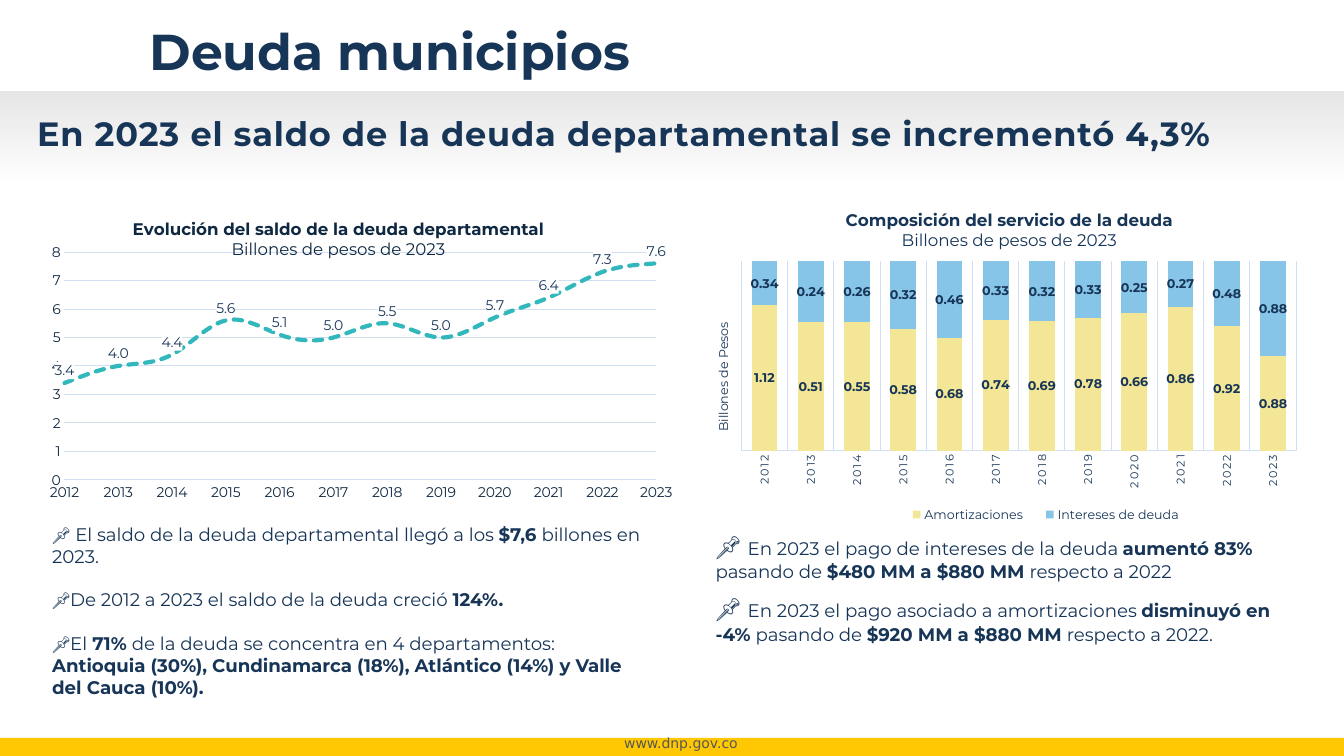
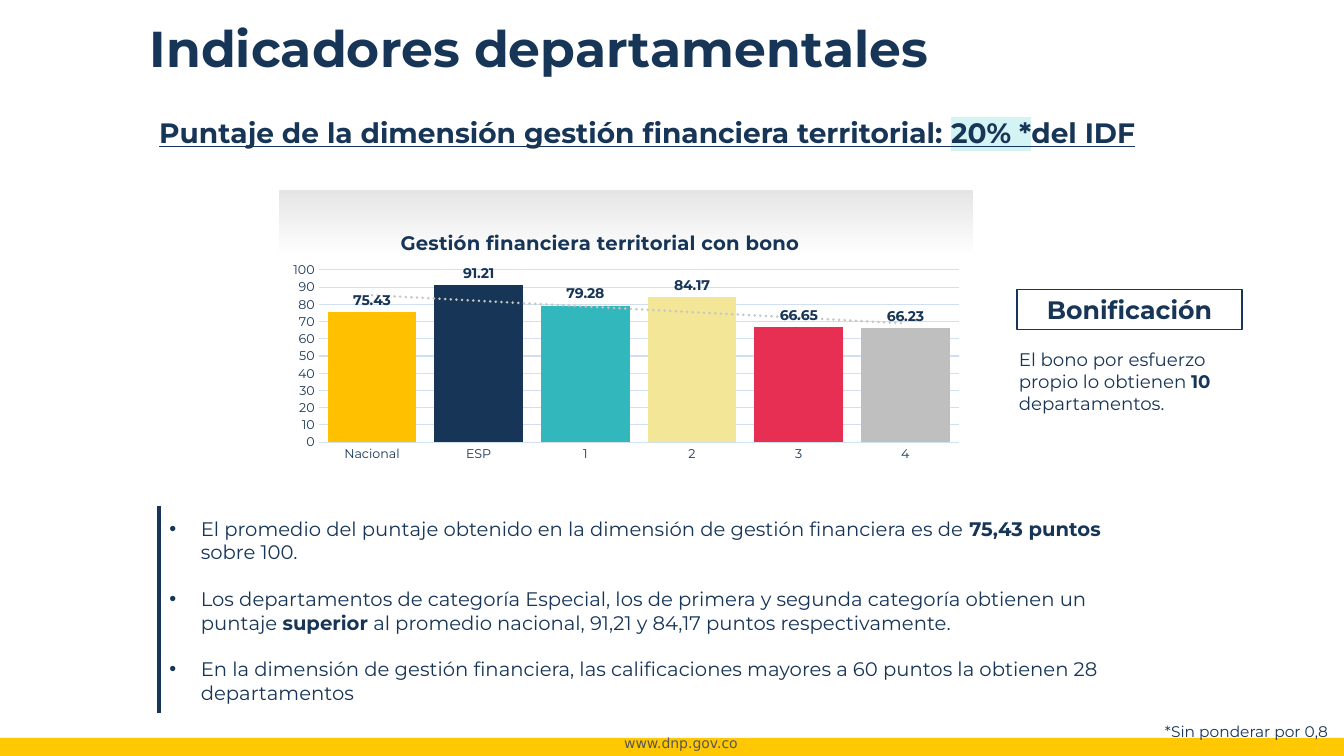
from dataclasses import dataclass
from typing import NamedTuple

from pptx import Presentation
from pptx.chart.data import CategoryChartData, XyChartData
from pptx.chart.datalabel import DataLabels
from pptx.dml.color import RGBColor
from pptx.enum.chart import XL_CHART_TYPE, XL_LABEL_POSITION, XL_LEGEND_POSITION, XL_TICK_MARK
from pptx.enum.dml import MSO_LINE
from pptx.enum.shapes import MSO_CONNECTOR, MSO_SHAPE
from pptx.enum.text import MSO_ANCHOR, MSO_AUTO_SIZE, PP_ALIGN
from pptx.oxml import parse_xml
from pptx.oxml.ns import nsdecls, qn
from pptx.util import Pt

LEFT, CENTER, JUSTIFY = PP_ALIGN.LEFT, PP_ALIGN.CENTER, PP_ALIGN.JUSTIFY
TOP, MIDDLE = MSO_ANCHOR.TOP, MSO_ANCHOR.MIDDLE
RECTANGLE, STRAIGHT = MSO_SHAPE.RECTANGLE, MSO_CONNECTOR.STRAIGHT
SMOOTH_LINE = XL_CHART_TYPE.XY_SCATTER_SMOOTH_NO_MARKERS
STACKED, CLUSTERED = XL_CHART_TYPE.COLUMN_STACKED_100, XL_CHART_TYPE.COLUMN_CLUSTERED
ABOVE, INSIDE, OUTSIDE = XL_LABEL_POSITION.ABOVE, XL_LABEL_POSITION.CENTER, XL_LABEL_POSITION.OUTSIDE_END
NO_TICK, LEGEND_BOTTOM = XL_TICK_MARK.NONE, XL_LEGEND_POSITION.BOTTOM
SHORT_DASH = MSO_LINE.SQUARE_DOT


@dataclass(frozen=True)
class Theme:
    font: str = "Montserrat"
    footer_font: str = "DejaVu Sans"
    navy: str = "173557"
    ink: str = "0E2841"
    grey: str = "575756"
    shade: str = "4D4D4D"
    white: str = "FFFFFF"
    yellow: str = "FFC802"
    teal: str = "31B7BC"
    sand: str = "F3E697"
    sky: str = "87C5E8"
    grid: str = "D0E0F2"
    trend: str = "C6C6C6"
    mark: str = "D4F3F4"
    scores: tuple = ("FFC000", "173557", "31B7BC", "F3E697", "E72F54", "BFBFBF")
    title: float = 36
    heading: float = 24
    subheading: float = 20
    callout: float = 18
    finding: float = 14
    body: float = 13
    chart_title: float = 12
    footnote: float = 11
    label: float = 10
    small: float = 9
    tiny: float = 8


class Box(NamedTuple):
    left: float
    top: float
    width: float
    height: float

    def inner(self, left, top, width, height):
        return Box(self.left + left, self.top + top, width, height)

    def lengths(self):
        return [Pt(value) for value in self]


THEME = Theme()
YEARS = range(2012, 2024)
PIN = "📌"
NO_PAINT = f"<c:spPr {nsdecls('c', 'a')}><a:noFill/><a:ln><a:noFill/></a:ln></c:spPr>"


def rgb(color):
    return RGBColor.from_string(color)


# ---- Text ----
def style_font(font, size, color=THEME.navy, bold=False, name=THEME.font):
    font.size, font.bold, font.name = Pt(size), bold, name
    font.color.rgb = rgb(color)


def add_span(para, text, size, **style):
    span = para.add_run()
    span.text = text
    style_font(span.font, size, **style)
    return span


def add_marked(para, text, size):
    """Text between double asterisks is bold."""
    for index, piece in enumerate(text.split("**")):
        if piece:
            add_span(para, piece, size, bold=index % 2 == 1)


def set_frame(shape, anchor=TOP, align=LEFT):
    frame = shape.text_frame
    frame.word_wrap, frame.auto_size = True, MSO_AUTO_SIZE.NONE
    frame.vertical_anchor = anchor
    frame.paragraphs[0].alignment = align
    return frame


def add_text(page, box, anchor=TOP, align=LEFT):
    return set_frame(page.shapes.add_textbox(*box.lengths()), anchor, align)


def next_para(frame, index):
    return frame.add_paragraph() if index else frame.paragraphs[0]


# ---- Shapes ----
def add_rectangle(page, box, color, outline=None):
    shape = page.shapes.add_shape(RECTANGLE, *box.lengths())
    shape.shadow.inherit = False
    shape.fill.solid()
    shape.fill.fore_color.rgb = rgb(color)
    if outline:
        shape.line.color.rgb, shape.line.width = rgb(outline), Pt(1)
    else:
        shape.line.fill.background()
    return shape


def add_fading_band(page, box):
    band = add_rectangle(page, box, THEME.shade)
    band.fill.gradient()
    band.fill.gradient_angle = 270
    for stop, position in zip(band.fill.gradient_stops, (0, 1)):
        stop.color.rgb, stop.position = rgb(THEME.shade), position
    for color, alpha in zip(band.element.xpath(".//a:gs/a:srgbClr"), (15000, 0)):
        color.append(parse_xml(f'<a:alpha {nsdecls("a")} val="{alpha}"/>'))


# ---- Shared page parts ----
def add_master_footer(deck, page):
    bar = add_rectangle(page, Box(0, 527, 960, 13), THEME.yellow)
    address = page.shapes.add_textbox(*Box(410.4, 521.3, 152, 19).lengths())
    para = set_frame(address, align=CENTER).paragraphs[0]
    add_span(para, "www.dnp.gov.co", THEME.label, color=THEME.grey, name=THEME.footer_font)
    tree = deck.slide_master.element.xpath("p:cSld/p:spTree")[0]
    for number, shape in enumerate((bar, address), 101):
        shape.element.xpath(".//p:cNvPr")[0].set("id", str(number))
        tree.append(shape.element)


def add_page(deck, title, top):
    page = deck.slides.add_slide(deck.slide_layouts[5])
    holder = page.shapes.title
    holder.left, holder.top, holder.width, holder.height = Box(99.6, top, 719, 48).lengths()
    para = set_frame(holder, MIDDLE).paragraphs[0]
    add_span(para, title, THEME.title, bold=True)
    return page


# ---- Charts ----
def place_part(part, left, top, width=None, height=None, index=0, inner=False):
    """Set a manual layout, in fractions of the chart."""
    layout = part.find(qn("c:layout"))
    if layout is None:
        layout = parse_xml(f"<c:layout {nsdecls('c')}/>")
        part.insert(index, layout)
    settings = [("layoutTarget", "inner")] if inner else []
    settings += [("xMode", "edge"), ("yMode", "edge"), ("x", left), ("y", top)]
    settings += [("w", width), ("h", height)] if width else []
    rows = "".join(f'<c:{tag} val="{value}"/>' for tag, value in settings)
    layout.append(parse_xml(f"<c:manualLayout {nsdecls('c')}>{rows}</c:manualLayout>"))


def add_chart(page, box, kind, data, plot_box, titles, title_size, color=THEME.navy):
    chart = page.shapes.add_chart(kind, *box.lengths(), data).chart
    style_font(chart.font, THEME.label, color)
    chart.has_legend = False
    chart.plots[0].vary_by_categories = False
    frame = chart.chart_title.text_frame
    for index, line in enumerate(titles):
        add_span(next_para(frame, index), line, title_size, color=color, bold=index == 0)
    chart.chart_title.include_in_layout = False
    plot_area = chart.element.xpath(".//c:plotArea")[0]
    place_part(plot_area, *plot_box, inner=True)
    plot_area.append(parse_xml(NO_PAINT))
    chart.element.find(qn("c:chart")).addnext(parse_xml(NO_PAINT))
    return chart


def style_axis(axis, size, color=THEME.navy, grid=False, line=True):
    axis.major_tick_mark = axis.minor_tick_mark = NO_TICK
    style_font(axis.tick_labels.font, size, color)
    axis.has_major_gridlines = grid
    lines = [axis.format.line] if line else []
    if not line:
        axis.format.line.fill.background()
    if grid:
        lines.append(axis.major_gridlines.format.line)
    for rule in lines:
        rule.color.rgb, rule.width = rgb(THEME.grid), Pt(0.75)


def set_scale(axis, low, high, step, number_format="0"):
    axis.minimum_scale, axis.maximum_scale, axis.major_unit = low, high, step
    axis.tick_labels.number_format = number_format
    axis.tick_labels.number_format_is_linked = False


def add_labels(chart, number_format, position, size, bold=True):
    for series in chart.element.xpath(".//c:ser"):
        labels = DataLabels(series.get_or_add_dLbls())
        labels.show_value, labels.position = True, position
        labels.number_format, labels.number_format_is_linked = number_format, False
        style_font(labels.font, size, bold=bold)


# ---- Regions of the debt page ----
def balance_column(page, box):
    data = XyChartData()
    points = data.add_series("Saldo")
    for year, value in zip(YEARS, (3.4, 4, 4.4, 5.6, 5.1, 5, 5.5, 5, 5.7, 6.4, 7.3, 7.6)):
        points.add_data_point(year, value)
    chart = add_chart(page, box.inner(0, 0, box.width, 218), SMOOTH_LINE, data,
                      (0.084, 0.159, 0.898, 0.747),
                      ("Evolución del saldo de la deuda departamental", "Billones de pesos de 2023"),
                      THEME.chart_title, THEME.ink)
    style_axis(chart.category_axis, THEME.label, THEME.ink)
    set_scale(chart.category_axis, 2012, 2023, 1)
    style_axis(chart.value_axis, THEME.label, THEME.ink, grid=True, line=False)
    set_scale(chart.value_axis, 0, 8, 1, "#,##0")
    line = chart.plots[0].series[0].format.line
    line.color.rgb, line.width, line.dash_style = rgb(THEME.teal), Pt(3), SHORT_DASH
    add_labels(chart, "#,##0.0", ABOVE, THEME.label, bold=False)
    series = chart.element.xpath(".//c:ser")[0]
    series.xpath("c:smooth")[0].set("val", "1")
    series.xpath("c:spPr/a:ln")[0].set("cap", "rnd")
    series.xpath("c:dLbls/c:numFmt")[0].addnext(parse_xml(
        f'<c:spPr {nsdecls("c", "a")}><a:solidFill><a:srgbClr val="{THEME.white}"/></a:solidFill></c:spPr>'))
    # Notes under the line chart
    notes = (
        (f"**{PIN} **El saldo de la deuda departamental llegó a los **$7,6 **billones en 2023.", JUSTIFY),
        (f"**{PIN}**De 2012 a 2023 el saldo de la deuda creció** 124%.**", JUSTIFY),
        (f"{PIN}El** 71% **de la deuda se concentra en 4 departamentos: "
         "**Antioquia (30%), Cundinamarca (18%), Atlántico (14%) y Valle del Cauca (10%).**", LEFT),
    )
    frame = add_text(page, box.inner(23.7, 224.7, 434, 149))
    for index, (note, align) in enumerate(notes):
        para = next_para(frame, index)
        para.alignment, para.space_after = align, Pt(15.5)
        add_marked(para, note, THEME.body)


def service_column(page, box):
    data = CategoryChartData()
    data.categories = [str(year) for year in YEARS]
    data.add_series("Amortizaciones",
                    (1.12, 0.51, 0.55, 0.58, 0.68, 0.74, 0.69, 0.78, 0.66, 0.86, 0.92, 0.88))
    data.add_series("Intereses de deuda",
                    (0.34, 0.24, 0.26, 0.32, 0.46, 0.33, 0.32, 0.33, 0.25, 0.27, 0.48, 0.88))
    chart = add_chart(page, box.inner(0, 0, box.width, 244), STACKED, data,
                      (0.059, 0.199, 0.913, 0.554),
                      ("Composición del servicio de la deuda", "Billones de pesos de 2023"),
                      THEME.chart_title)
    plot = chart.plots[0]
    plot.gap_width, plot.overlap = 79, 100
    for series, color in zip(plot.series, (THEME.sand, THEME.sky)):
        series.format.fill.solid()
        series.format.fill.fore_color.rgb = rgb(color)
    add_labels(chart, "0.00", INSIDE, THEME.small)
    style_axis(chart.category_axis, THEME.tiny, grid=True)
    year_text = chart.element.xpath(".//c:catAx/c:txPr")[0]
    year_text.xpath("a:bodyPr")[0].set("rot", "-5400000")
    year_text.xpath(".//a:defRPr")[0].set("spc", "120")
    axis = chart.value_axis
    axis.has_major_gridlines, axis.visible = False, False
    para = axis.axis_title.text_frame.paragraphs[0]
    add_span(para, "Billones de Pesos", THEME.small)
    axis_title = chart.element.xpath(".//c:valAx/c:title")[0]
    axis_title.xpath(".//a:bodyPr")[0].set("rot", "-5400000")
    place_part(axis_title, 0.01, 0.37, index=1)
    chart.has_legend = True
    chart.legend.position, chart.legend.include_in_layout = LEGEND_BOTTOM, False
    style_font(chart.legend.font, THEME.small)
    place_part(chart.element.xpath(".//c:legend")[0], 0.31, 0.9, 0.5, 0.08, index=1)
    # Notes under the column chart
    notes = (
        "En 2023 el pago de intereses de la deuda **aumentó 83% **pasando de "
        "**$480 MM a $880 MM **respecto a 2022",
        "En 2023 el pago asociado a amortizaciones **disminuyó en -4% **pasando de "
        "**$920 MM a $880 MM **respecto a 2022.",
    )
    for index, note in enumerate(notes):
        frame = add_text(page, box.inner(0, 237 + 44.6 * index, 418.3, 44.6))
        add_span(frame.paragraphs[0], f"{PIN} ", THEME.callout, bold=True)
        add_marked(frame.paragraphs[0], note, THEME.body)


# ---- Regions of the indicators page ----
def score_chart(page, box):
    add_fading_band(page, box.inner(0, 0, box.width, 46))
    data = CategoryChartData()
    data.categories = ("Nacional", "ESP", "1", "2", "3", "4")
    data.add_series("Puntaje", (75.43, 91.21, 79.28, 84.17, 66.65, 66.23))
    chart = add_chart(page, box.inner(0, 14.4, box.width, 183), CLUSTERED, data,
                      (0.057, 0.232, 0.923, 0.672),
                      ("Gestión financiera territorial con bono",), THEME.finding)
    place_part(chart.element.xpath("c:chart/c:title")[0], 0.17, 0.06, index=1)
    plot = chart.plots[0]
    plot.gap_width, plot.overlap = 20, -27
    for index, color in enumerate(THEME.scores):
        fill = plot.series[0].points[index].format.fill
        fill.solid()
        fill.fore_color.rgb = rgb(color)
    style_axis(chart.category_axis, THEME.small)
    style_axis(chart.value_axis, THEME.small, grid=True, line=False)
    set_scale(chart.value_axis, 0, 100, 10)
    add_labels(chart, "0.00", OUTSIDE, THEME.label)
    chart.element.xpath(".//c:ser/c:cat")[0].addprevious(parse_xml(
        f'<c:trendline {nsdecls("c", "a")}><c:spPr><a:ln w="25400" cap="rnd"><a:solidFill>'
        f'<a:srgbClr val="{THEME.trend}"/></a:solidFill><a:prstDash val="sysDot"/></a:ln></c:spPr>'
        '<c:trendlineType val="linear"/><c:dispRSqr val="0"/><c:dispEq val="0"/></c:trendline>'))


def bonus_box(page, box):
    label = add_rectangle(page, box.inner(5.8, 0, 160.6, 29), THEME.white, THEME.navy)
    para = set_frame(label, MIDDLE, CENTER).paragraphs[0]
    add_span(para, "Bonificación", THEME.callout, bold=True)
    frame = add_text(page, box.inner(0, 39, box.width, 55))
    add_marked(frame.paragraphs[0],
               "El bono por esfuerzo propio lo obtienen **10** departamentos.", THEME.body)


def findings_list(page, box):
    bar = page.shapes.add_connector(STRAIGHT, Pt(box.left), Pt(box.top),
                                    Pt(box.left), Pt(box.top + box.height))
    bar.line.color.rgb, bar.line.width = rgb(THEME.navy), Pt(3)
    bar.element.spPr.append(parse_xml(f"<a:effectLst {nsdecls('a')}/>"))
    findings = (
        "El promedio del puntaje obtenido en la dimensión de gestión financiera es de "
        "**75,43 puntos **sobre 100.",
        "Los departamentos de categoría Especial, los de primera y segunda categoría obtienen un "
        "puntaje **superior** al promedio nacional, 91,21 y 84,17 puntos respectivamente.",
        "En la dimensión de gestión financiera, las calificaciones mayores a 60 puntos la obtienen "
        "28 departamentos",
    )
    frame = add_text(page, box.inner(0, 4.2, box.width, box.height - 4.2))
    for index, finding in enumerate(findings):
        para = next_para(frame, index)
        para.space_after = Pt(16.5)
        add_marked(para, finding, THEME.finding)
    for settings in frame._txBody.xpath("a:p/a:pPr"):
        settings.set("marL", str(Pt(22.5)))
        settings.set("indent", str(Pt(-22.5)))
        settings.append(parse_xml(f'<a:buFont {nsdecls("a")} typeface="Arial"/>'))
        settings.append(parse_xml(f'<a:buChar {nsdecls("a")} char="•"/>'))


# ---- Pages ----
def debt_page(deck):
    page = add_page(deck, "Deuda municipios", 12)
    add_master_footer(deck, page)
    add_fading_band(page, Box(0, 65.5, 960, 64))
    heading = page.shapes.add_textbox(*Box(19.4, 76.3, 940, 37.4).lengths())
    para = set_frame(heading, MIDDLE).paragraphs[0]
    add_span(para, "En 2023 el saldo de la deuda departamental se incrementó 4,3%",
             THEME.heading, bold=True)
    heading.element.xpath(".//a:rPr")[0].set("spc", "60")
    balance_column(page, Box(6.5, 145.4, 473.8, 374))
    service_column(page, Box(504, 138.2, 434, 330))


def indicators_page(deck):
    page = add_page(deck, "Indicadores departamentales", 10)
    heading = page.shapes.add_textbox(*Box(106.6, 79.2, 795, 32).lengths())
    para = set_frame(heading).paragraphs[0]
    for text in ("Puntaje de la dimensión gestión financiera territorial: ", "20% *", "del IDF"):
        add_span(para, text, THEME.subheading, bold=True).font.underline = True
    heading.element.xpath(".//a:rPr")[1].find(qn("a:solidFill")).addnext(parse_xml(
        f'<a:highlight {nsdecls("a")}><a:srgbClr val="{THEME.mark}"/></a:highlight>'))
    score_chart(page, Box(199.4, 136, 495.4, 198))
    bonus_box(page, Box(720.7, 206.6, 170, 94))
    findings_list(page, Box(113.8, 361.4, 713.5, 148))
    footnote = add_text(page, Box(821, 512, 139, 21), align=CENTER)
    add_span(footnote.paragraphs[0], "*Sin ponderar por 0,8", THEME.footnote)


def main():
    deck = Presentation()
    deck.slide_width, deck.slide_height = Pt(960), Pt(540)
    debt_page(deck)
    indicators_page(deck)
    deck.save("out.pptx")


if __name__ == "__main__":
    main()
